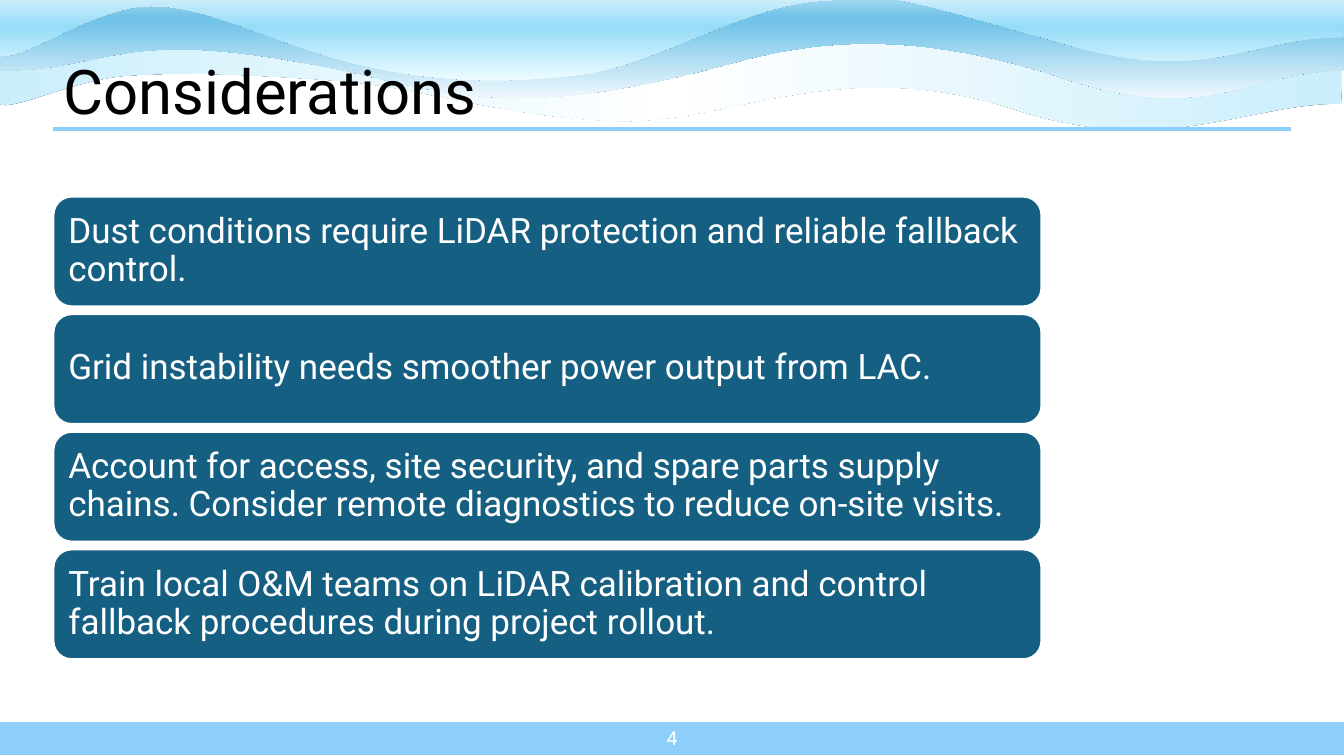
from lxml import etree
from pptx import Presentation
from pptx.dml.color import RGBColor
from pptx.enum.shapes import MSO_CONNECTOR, MSO_SHAPE
from pptx.enum.text import MSO_ANCHOR, PP_ALIGN
from pptx.oxml.ns import qn
from pptx.util import Inches, Pt

LEFT, RIGHT = PP_ALIGN.LEFT, PP_ALIGN.RIGHT
MIDDLE = MSO_ANCHOR.MIDDLE
COLORS = {"sky": "8ECEFA", "card": "156082", "white": "FFFFFF", "black": "000000"}

# Each wave: box, start point, Bezier segments (two controls and an end),
# straight corners, gradient stops (percent, colour) and gradient angle.
WAVES = [
    ((-0.04, 0.3, 13.36, 0.98), (13.3, 1.03),
     [(12.37, 1.02, 11.52, 1.59, 9.99, 1.06), (8.27, 0.54, 7.21, 1.24, 6.1, 1.2),
      (4.99, 1.16, 4.21, 0.87, 3.35, 0.8), (2.49, 0.74, 1.83, 0.71, 1.27, 0.75),
      (0.71, 0.79, 0.14, 1.11, -0.02, 1.03), (-0.02, 0.8, -0.04, 0.53, -0.04, 0.3)],
     [(3.13, 0.31), (6.52, 0.34), (9.41, 0.32), (13.32, 0.34)],
     (13.32, 0.55, 13.32, 0.8, 13.3, 1.03),
     [(0, "CAEEFB"), (50, "FFFFFF"), (100, "CAEEFB")], 0),
    ((0, -0.01, 13.33, 0.98), (13.32, 0.7),
     [(12.39, 0.7, 11.96, 1.28, 10.44, 0.74), (8.71, 0.2, 7.73, 0.5, 7.06, 0.68),
      (5.28, 1.14, 4.59, 0.98, 3.46, 0.71), (1.13, 0.22, 1.15, 0.7, 0, 0.7),
      (0, 0.47, 0.01, 0.24, 0.01, 0)],
     [(3.13, 0.01), (6.54, -0.01), (9.46, 0), (13.33, 0.04)],
     (13.33, 0.26, 13.34, 0.47, 13.32, 0.7),
     [(0, "A2D8F0"), (17, "74C4E9"), (26, "74C4E9"), (100, "F0F8FD")], 270),
    ((-0.03, -0.26, 13.36, 1.06), (13.32, 0.37),
     [(12.39, 0.36, 11.96, 0.88, 10.44, 0.4), (8.72, -0.08, 8.91, -0.05, 8.13, 0.01),
      (7.35, 0.06, 6.53, 0.64, 5.76, 0.74), (4.98, 0.84, 4.24, 0.81, 3.47, 0.62),
      (2.58, 0.38, 2.07, 0.06, 1.5, 0.06), (0.92, 0.06, 0.22, 0.63, -0.03, 0.55),
      (-0.02, 0.34, 0.01, -0.04, 0.01, -0.25)],
     [(3.13, -0.24), (6.54, -0.26), (9.46, -0.25), (13.33, -0.22)],
     (13.33, -0.03, 13.34, 0.16, 13.32, 0.37),
     [(0, "FFFFFF"), (50, "96DCF8"), (100, "EFFCFF")], 270),
]
CONSIDERATIONS = [
    "Dust conditions require LiDAR protection and reliable fallback control.",
    "Grid instability needs smoother power output from LAC.",
    "Account for access, site security, and spare parts supply chains. "
    "Consider remote diagnostics to reduce on-site visits.",
    "Train local O&M teams on LiDAR calibration and control fallback "
    "procedures during project rollout.",
]


def write_text(sp, text, size, color, align=LEFT, spacing=1.0):
    tf = sp.text_frame
    tf.word_wrap = True
    tf.vertical_anchor = MIDDLE
    p = tf.paragraphs[0]
    p.alignment, p.line_spacing = align, spacing
    r = p.add_run()
    r.text = text
    for name, value in {"name": "Roboto", "size": Pt(size)}.items():
        setattr(r.font, name, value)
    r.font.color.rgb = RGBColor.from_string(COLORS[color])


def add_block(kind, left, top, width, height, color):
    """Add a filled shape with a thin white border."""
    sp = s.shapes.add_shape(kind, Inches(left), Inches(top), Inches(width), Inches(height))
    sp.shadow.inherit = False
    sp.fill.solid()
    sp.fill.fore_color.rgb = RGBColor.from_string(COLORS[color])
    sp.line.color.rgb = RGBColor.from_string(COLORS["white"])
    sp.line.width = Pt(1.5)


prs = Presentation()
prs.slide_width, prs.slide_height = Inches(13.33), Inches(7.5)
s = prs.slides.add_slide(prs.slide_layouts[5])

# Waves along the top
for box, start, curves, corners, right_edge, stops, angle in WAVES:
    outline = s.shapes.build_freeform(Inches(start[0]), Inches(start[1]))
    outline.add_line_segments([(Inches(x), Inches(y)) for x, y in corners])
    wave = outline.convert_to_shape()
    wave.left, wave.top, wave.width, wave.height = [Inches(v) for v in box]
    outline_path = wave._element.spPr.find(".//" + qn("a:path"))
    for part in list(outline_path):
        outline_path.remove(part)
    outline_path.set("w", str(wave.width))
    outline_path.set("h", str(wave.height))
    segments = [("a:moveTo", start)]
    segments += [("a:cubicBezTo", curve) for curve in curves]
    segments += [("a:lnTo", corner) for corner in corners]
    segments += [("a:cubicBezTo", right_edge), ("a:close", ())]
    for tag, values in segments:
        segment = etree.SubElement(outline_path, qn(tag))
        for x, y in zip(values[::2], values[1::2]):
            etree.SubElement(segment, qn("a:pt"), x=str(Inches(x) - wave.left),
                             y=str(Inches(y) - wave.top))
    wave.line.fill.background()
    wave.fill.gradient()
    wave.fill.gradient_angle = angle
    stop_list = wave._element.spPr.find(".//" + qn("a:gsLst"))
    for old_stop in list(stop_list):
        stop_list.remove(old_stop)
    for position, color in stops:
        stop = etree.SubElement(stop_list, qn("a:gs"), pos=str(position * 1000))
        etree.SubElement(stop, qn("a:srgbClr"), val=color)
    wave.shadow.inherit = False
    effects = wave._element.spPr.find(qn("a:effectLst"))
    shadow = etree.SubElement(effects, qn("a:outerShdw"), blurRad="0", dist="0", dir="0")
    etree.SubElement(shadow, qn("a:srgbClr"), val=COLORS["black"])

# Footer band and page number
add_block(MSO_SHAPE.RECTANGLE, -0.01, 7.15, 13.35, 0.35, "sky")
number = s.shapes.add_textbox(Inches(6.51), Inches(7.12), Inches(0.31), Inches(0.4))
write_text(number, "4", 14, "white", RIGHT)

# Title in front of the waves, with its rule
title = s.shapes.title
title.left, title.top = Inches(0.53), Inches(0.55)
title.width, title.height = Inches(5.98), Inches(0.78)
write_text(title, "Considerations", 44, "black", spacing=0.9)
title._element.getparent().append(title._element)

rule = s.shapes.add_connector(MSO_CONNECTOR.STRAIGHT, Inches(0.53), Inches(1.28),
                              Inches(12.8), Inches(1.28))
rule.line.color.rgb = RGBColor.from_string(COLORS["sky"])
rule.line.width = Pt(3)
etree.SubElement(rule._element.spPr, qn("a:effectLst"))

# Cards, evenly spaced, each with its text box inside
first_top, last_top = 1.95, 5.45
pitch = (last_top - first_top) / (len(CONSIDERATIONS) - 1)
for i, text in enumerate(CONSIDERATIONS):
    top = first_top + i * pitch
    add_block(MSO_SHAPE.ROUNDED_RECTANGLE, 0.53, top, 9.8, 1.09, "card")
    label = s.shapes.add_textbox(Inches(0.58), Inches(top + 0.05), Inches(9.7), Inches(0.98))
    for side in ("left", "top", "right", "bottom"):
        setattr(label.text_frame, f"margin_{side}", Inches(0.1))
    write_text(label, text, 25, "white", spacing=0.9)

prs.save("out.pptx")
